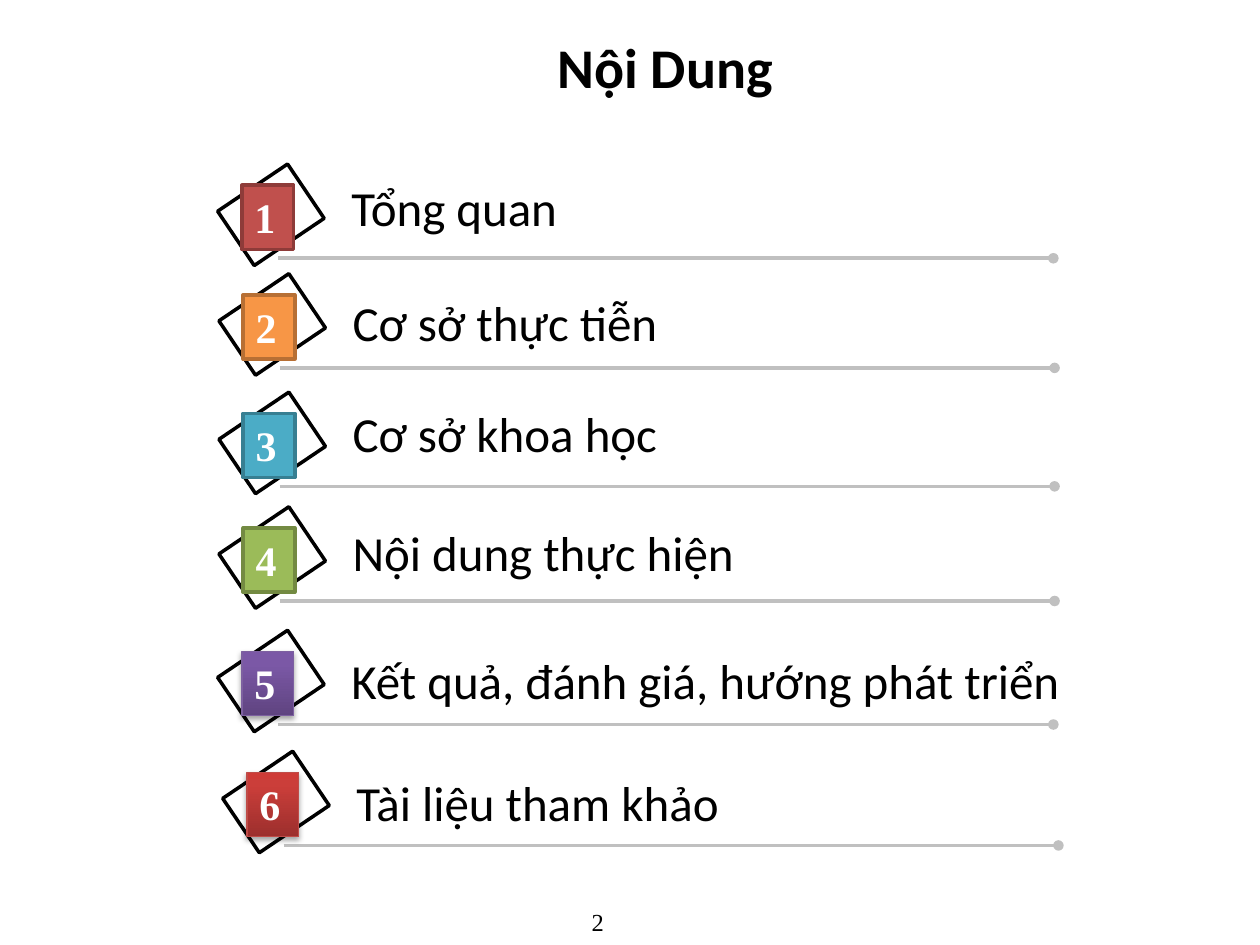
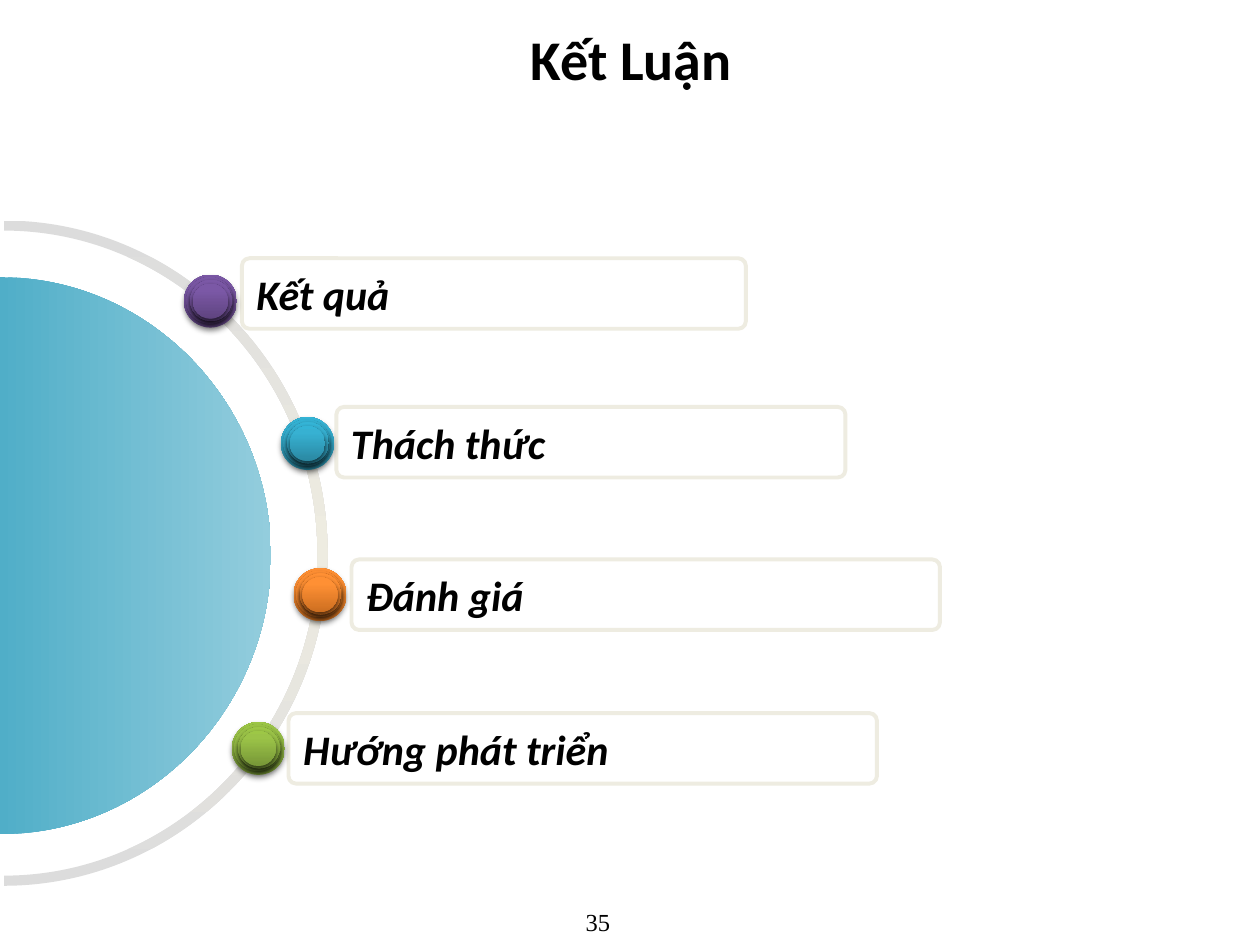
"""Builds the agenda slide and the conclusion slide of a Vietnamese presentation."""
import pptx
import pptx.dml.color
import pptx.enum.shapes
import pptx.enum.text
import pptx.oxml
import pptx.oxml.ns
import pptx.util
from pptx.util import Inches, Pt

COLORS = {
    "text": "000000", "paper": "FFFFFF", "rule": "C0C0C0", "frame": "EEECE1",
    "arc_end": "DCDCDC", "disc_left": "50AEC8", "disc_right": "93CDDD",
    "brick": "C0504D", "brick_edge": "8E3B39", "amber": "F79646", "amber_edge": "B76F34",
    "aqua": "4BACC6", "aqua_edge": "377F92", "olive": "9BBB59", "olive_edge": "738A42",
    "purple_edge": "7D60A0", "red_edge": "BF4C48",
}
GLOSS = {
    "purple": ("5F4480", "7B58A6", "7C57A8"),
    "red": ("9C2F2D", "CB3E3A", "CE3B37"),
    "teal": ("2A88A2", "37B1D2", "34B4D6"),
    "orange": ("CC6E20", "FF9034", "FF9136"),
    "green": ("779737", "9BC348", "9DC746"),
}
BODY, NUMERAL = "Calibri", "Times New Roman"

AGENDA = {
    "title": "Nội Dung", "title_at": (0.78, 0.05, 9, 0.95), "page": "2",
    "topics": [
        ("Tổng quan", "brick", 2.21, 2.05, 1.36),
        ("Cơ sở thực tiễn", "amber", 2.22, 2.92, 2.27),
        ("Cơ sở khoa học", "aqua", 2.22, 3.86, 3.15),
        ("Nội dung thực hiện", "olive", 2.22, 4.77, 4.1),
        ("Kết quả, đánh giá, hướng phát triển", "purple", 2.21, 5.75, 5.11),
        ("Tài liệu tham khảo", "red", 2.25, 6.71, 6.08),
    ],
}
CONCLUSION = {
    "title": "Kết Luận", "title_at": (0.51, 0, 9, 0.92), "page": "35",
    "points": [
        ("Kết quả", "purple", (1.92, 2.05, 4), (1.46, 2.18)),
        ("Thách thức", "teal", (2.67, 3.23, 4.04), (2.23, 3.31)),
        ("Đánh giá", "orange", (2.79, 4.44, 4.67), (2.33, 4.51)),
        ("Hướng phát triển", "green", (2.29, 5.66, 4.67), (1.84, 5.73)),
    ],
}
BUTTON_RINGS = [(0, 0, 0.42), (0.02, 0.02, 0.37), (0.05, 0.04, 0.33),
                (0.05, 0.04, 0.33), (0.07, 0.07, 0.28), (0.07, 0.07, 0.28)]
CURVE_PULL = 0.55

SHAPES = pptx.enum.shapes.MSO_SHAPE
ALIGN = pptx.enum.text.PP_ALIGN
ANCHOR = pptx.enum.text.MSO_ANCHOR


def rgb(name):
    return pptx.dml.color.RGBColor.from_string(COLORS[name])


def element(xml):
    return pptx.oxml.parse_xml(xml.replace(">", f" {pptx.oxml.ns.nsdecls('a')}>", 1))


def write(shape, words, size, font=BODY, color="text", bold=False, italic=False,
          align=ALIGN.LEFT, anchor=ANCHOR.TOP):
    frame = shape.text_frame
    frame.word_wrap = True
    frame.vertical_anchor = anchor
    paragraph = frame.paragraphs[0]
    paragraph.alignment = align
    run = paragraph.add_run()
    run.text = words
    run.font.size, run.font.name = Pt(size), font
    run.font.bold, run.font.italic = bold, italic
    run.font.color.rgb = rgb(color)


def add_text(holder, at, words, size, **style):
    write(holder.shapes.add_textbox(*map(Inches, at)), words, size, **style)


def dress(shape, fill=None, line=None, width=2):
    shape.shadow.inherit = False
    if fill:
        shape.fill.solid()
        shape.fill.fore_color.rgb = rgb(fill)
    else:
        shape.fill.background()
    if line:
        shape.line.color.rgb = rgb(line)
        shape.line.width = Pt(width)
    else:
        shape.line.fill.background()


def add_preset(holder, kind, at, **look):
    shape = holder.shapes.add_shape(kind, *map(Inches, at))
    dress(shape, **look)
    return shape


def set_gradient(shape, stops, angle):
    marks = "".join(f'<a:gs pos="{pos * 1000}"><a:srgbClr val="{color}"/></a:gs>'
                    for pos, color in stops)
    properties = shape._element.spPr
    properties.replace(
        properties.find(pptx.oxml.ns.qn("a:noFill")),
        element(f'<a:gradFill rotWithShape="1"><a:gsLst>{marks}</a:gsLst>'
                f'<a:lin ang="{angle * 60000}" scaled="0"/></a:gradFill>'))


def make_glossy(shape, tone):
    set_gradient(shape, zip((0, 80, 100), GLOSS[tone]), 270)
    effects = shape._element.spPr.find(pptx.oxml.ns.qn("a:effectLst"))
    effects.append(element(
        f'<a:outerShdw blurRad="{Pt(3.1)}" dist="{Pt(1.8)}" dir="5400000" rotWithShape="0">'
        '<a:srgbClr val="000000"><a:alpha val="35000"/></a:srgbClr></a:outerShdw>'))


def add_rule(holder, left, y):
    rule = holder.shapes.add_connector(
        pptx.enum.shapes.MSO_CONNECTOR.STRAIGHT,
        Inches(left), Inches(y), Inches(left + 6.15), Inches(y))
    rule.line.color.rgb = rgb("rule")
    rule.line.width = Pt(2)
    rule.line._get_or_add_ln().append(element('<a:tailEnd type="oval"></a:tailEnd>'))
    rule._element.spPr.append(element("<a:effectLst></a:effectLst>"))


def half_ellipse(center_x, center_y, radius_x, radius_y):
    """Return the start, then two controls and an end for each quarter."""
    units = [(0, -1), (CURVE_PULL, -1), (1, -CURVE_PULL), (1, 0),
             (1, CURVE_PULL), (CURVE_PULL, 1), (0, 1)]
    return [(center_x + radius_x * x, center_y + radius_y * y) for x, y in units]


def add_curved_outline(slide, halves, stops, angle):
    corners = [(Inches(x), Inches(y)) for half in halves for x, y in half]
    builder = slide.shapes.build_freeform(*corners[0])
    builder.add_line_segments(corners[1:], close=True)
    outline = builder.convert_to_shape()
    dress(outline)
    set_gradient(outline, stops, angle)
    steps = list(outline._element.iter(pptx.oxml.ns.qn("a:lnTo")))
    for half in range(len(halves)):
        for first in (7 * half, 7 * half + 3):
            curve = element("<a:cubicBezTo></a:cubicBezTo>")
            steps[first].addprevious(curve)
            for step in steps[first:first + 3]:
                curve.append(step[0])
                step.getparent().remove(step)


def add_slide(deck, content):
    slide = deck.slides.add_slide(deck.slide_layouts[6])
    add_text(slide, content["title_at"], content["title"], 32, bold=True,
             align=ALIGN.CENTER, anchor=ANCHOR.MIDDLE)
    add_text(slide, (3.58, 7.15, 2.33, 0.35), content["page"], 14, font=NUMERAL,
             align=ALIGN.CENTER)
    return slide


def add_topic(slide, number, topic, tone, left, rule_y, text_y):
    row = slide.shapes.add_group_shape()
    add_rule(row, left, rule_y)
    tilted = add_preset(row, SHAPES.RECTANGLE, (left - 0.32, rule_y - 0.68, 0.52, 0.67),
                        fill="paper", line="text")
    tilted.rotation = 56
    add_text(row, (left + 0.48, text_y, 6.4, 0.57), topic, 28)
    glossy = tone in GLOSS
    badge = add_preset(row, SHAPES.RECTANGLE, (left - 0.29, rule_y - 0.58, 0.41, 0.51),
                       fill=None if glossy else tone, line=f"{tone}_edge",
                       width=0.75 if glossy else 2)
    if glossy:
        make_glossy(badge, tone)
    write(badge, str(number), 24, font=NUMERAL, color="paper", bold=True)


def add_point(slide, point, tone, box_at, button_at):
    box = add_preset(slide, SHAPES.ROUNDED_RECTANGLE, (*box_at, 0.56),
                     line="frame", width=2.25)
    box.adjustments[0] = 0.108
    write(box, point, 24, bold=True, italic=True, anchor=ANCHOR.MIDDLE)
    button = slide.shapes.add_group_shape()
    left, top = button_at
    for dx, dy, size in BUTTON_RINGS:
        ring = add_preset(button, SHAPES.OVAL, (left + dx, top + dy, size, size))
        make_glossy(ring, tone)


def main():
    deck = pptx.Presentation()
    deck.slide_width, deck.slide_height = Inches(10), Inches(7.5)

    agenda = add_slide(deck, AGENDA)
    for number, topic in enumerate(AGENDA["topics"], 1):
        add_topic(agenda, number, *topic)

    conclusion = add_slide(deck, CONCLUSION)
    arc = [half_ellipse(0.03, 4.39, 2.57, 2.64),
           half_ellipse(0.03, 4.39, 2.49, 2.56)[::-1]]
    add_curved_outline(conclusion, arc, [(0, COLORS["arc_end"]), (50, COLORS["frame"]),
                                         (100, COLORS["arc_end"])], 90)
    add_curved_outline(conclusion, [half_ellipse(0, 4.41, 2.15, 2.21)],
                       [(0, COLORS["disc_left"]), (100, COLORS["disc_right"])], 0)
    for point in CONCLUSION["points"]:
        add_point(conclusion, *point)

    deck.save("out.pptx")


if __name__ == "__main__":
    main()
